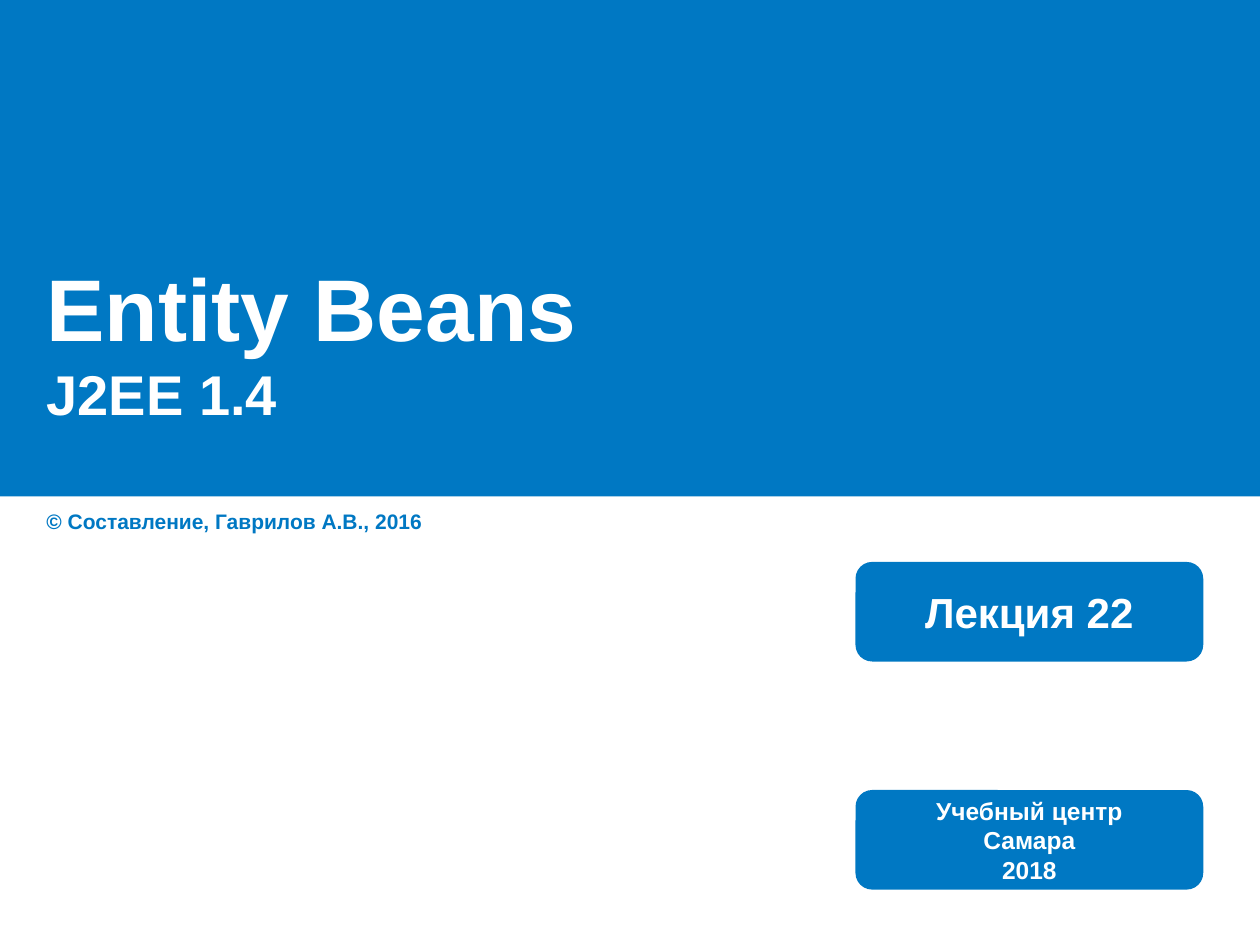
from pptx import Presentation
from pptx.dml.color import RGBColor
from pptx.enum.shapes import MSO_SHAPE
from pptx.enum.text import MSO_ANCHOR, MSO_AUTO_SIZE, PP_ALIGN
from pptx.util import Emu, Pt

RECT, ROUND = MSO_SHAPE.RECTANGLE, MSO_SHAPE.ROUNDED_RECTANGLE
MIDDLE, GROW, FIXED = MSO_ANCHOR.MIDDLE, MSO_AUTO_SIZE.SHAPE_TO_FIT_TEXT, MSO_AUTO_SIZE.NONE
LEFT, CENTER = PP_ALIGN.LEFT, PP_ALIGN.CENTER
SCALE = 9144


def px(*nums):
    return [Emu(n * SCALE) for n in nums]


def color(code):
    return RGBColor.from_string(code)


class Deck:
    """Holds the style and the current slide."""

    font, blue, white = "Arial", "0078C3", "FFFFFF"

    def __init__(self, wide, high):
        self.prs = Presentation()
        self.prs.slide_width, self.prs.slide_height = px(wide, high)
        self.slide = self.prs.slides.add_slide(self.prs.slide_layouts[5])

    def run(self, para, text, size, tint):
        run = para.add_run()
        run.text = text
        run.font.name, run.font.size, run.font.bold = self.font, Pt(size), True
        run.font.color.rgb = color(tint)

    def block(self, kind, *box):
        shape = self.slide.shapes.add_shape(kind, *px(*box))
        shape.shadow.inherit = False
        shape.fill.solid()
        shape.fill.fore_color.rgb = color(self.blue)
        shape.line.fill.background()
        return shape

    def title(self, lines, *box):
        shape = self.slide.shapes.title
        shape.element.getparent().append(shape.element)
        shape.left, shape.top, shape.width, shape.height = px(*box)
        frame = shape.text_frame
        frame.vertical_anchor, frame.auto_size = MIDDLE, FIXED
        para = frame.paragraphs[0]
        para.alignment = LEFT
        for i, (text, size) in enumerate(lines):
            if i:
                para.add_line_break()
            self.run(para, text, size, self.white)

    def note(self, text, size, *box):
        frame = self.slide.shapes.add_textbox(*px(*box)).text_frame
        frame.word_wrap, frame.auto_size = True, GROW
        self.run(frame.paragraphs[0], text, size, self.blue)

    def badge(self, lines, size, *box):
        frame = self.block(ROUND, *box).text_frame
        frame.word_wrap, frame.vertical_anchor = False, MIDDLE
        for i, text in enumerate(lines):
            para = frame.add_paragraph() if i else frame.paragraphs[0]
            para.alignment = CENTER
            self.run(para, text, size, self.white)


def main():
    deck = Deck(1000, 750)
    deck.block(RECT, 0, 0, 1000, 394)
    deck.title([("Entity Beans", 50), ("J2EE 1.4", 32)], 27, 149, 945, 242)
    deck.note("© Составление, Гаврилов А.В., 2016", 12, 27, 399, 488, 30)
    deck.badge(["Лекция 22"], 24, 679, 446, 276, 79)
    deck.badge(["Учебный центр", "Самара", "2018"], 14, 679, 627, 276, 79)
    deck.prs.save("out.pptx")


if __name__ == "__main__":
    main()
